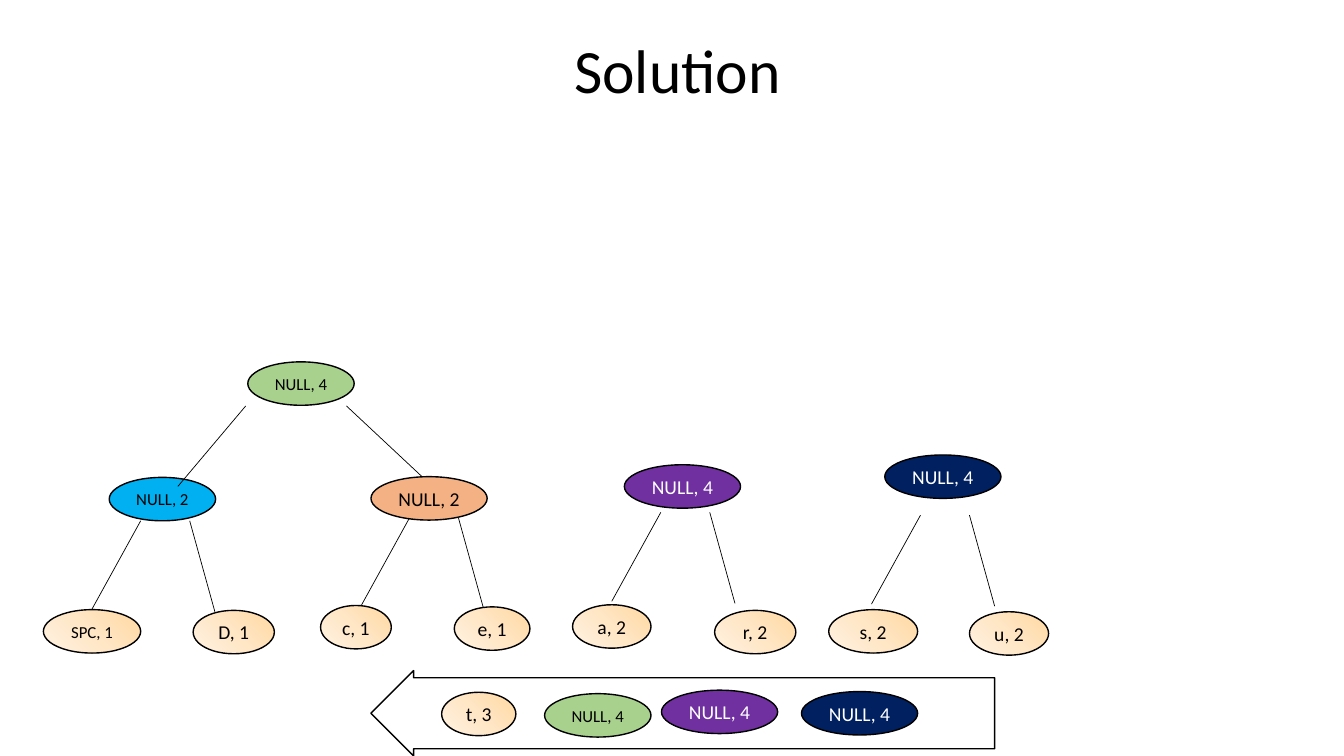
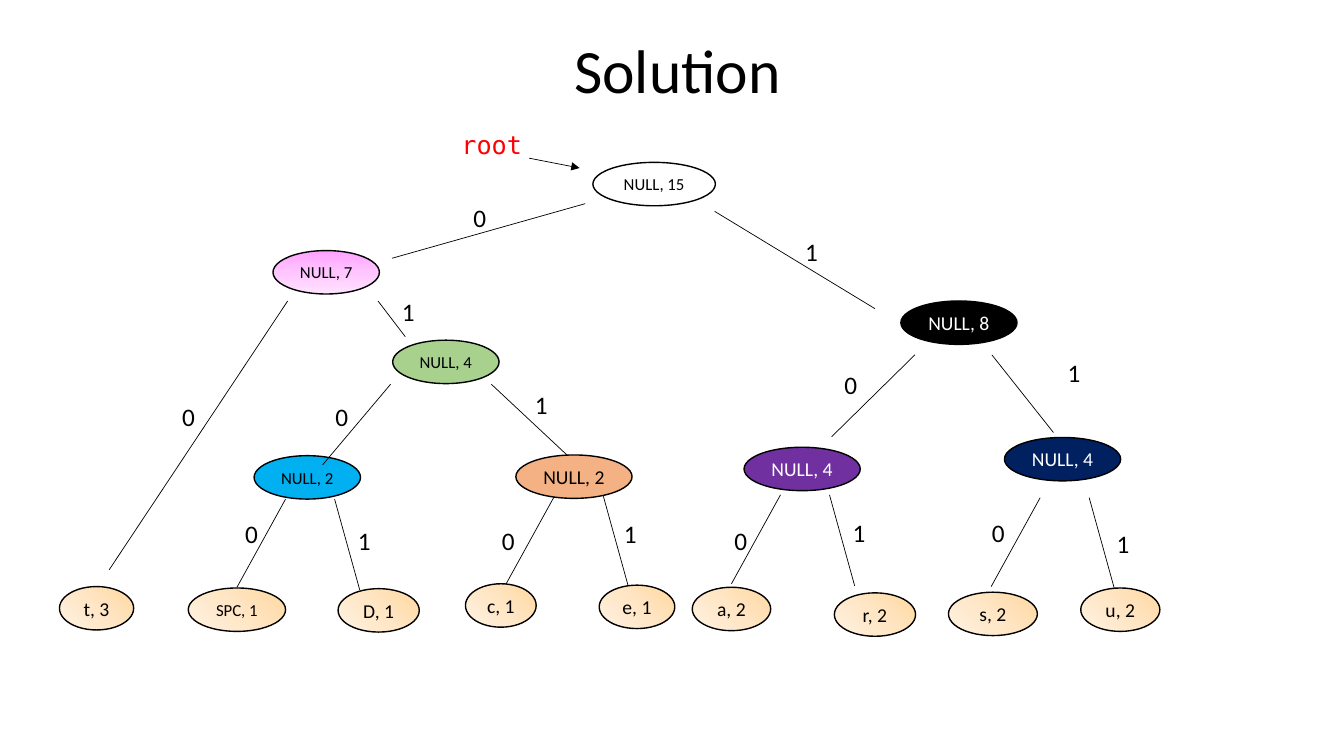
from collections import namedtuple
from copy import deepcopy

from lxml.etree import SubElement
from pptx import Presentation
from pptx.dml.color import RGBColor
from pptx.enum.shapes import MSO_CONNECTOR, MSO_SHAPE
from pptx.enum.text import MSO_ANCHOR, PP_ALIGN
from pptx.oxml.ns import qn
from pptx.util import Pt

FONT = "Calibri"
CODE_FONT = "DejaVu Sans Mono"
COLORS = {
    "black": "000000",
    "white": "FFFFFF",
    "red": "FF0000",
    "blue": "00B0F0",
    "orange": "F4B183",
    "green": "A9D18E",
    "purple": "7030A0",
    "navy": "002060",
}
# Colour stops and clockwise angle
GRADIENTS = {
    "peach": (("FFD8A0", "FFE6C5", "FFF2E3"), 135),
    "pink": (("FFA0FF", "FFC5FF", "FFE3FF"), 90),
}
NODE_HEIGHT = 31

Node = namedtuple("Node", "label width fill size text_color", defaults=("peach", 14, "black"))
NODES = {
    "SPC": Node("SPC, 1", 69.5, size=12),
    "D": Node("D, 1", 58),
    "c": Node("c, 1", 50.5),
    "e": Node("e, 1", 54),
    "a": Node("a, 2", 56),
    "r": Node("r, 2", 58),
    "s": Node("s, 2", 63.5),
    "u": Node("u, 2", 56.5),
    "t": Node("t, 3", 53),
    "blue": Node("NULL, 2", 76, "blue", 12),
    "orange": Node("NULL, 2", 83, "orange"),
    "green": Node("NULL, 4", 76, "green", 12),
    "purple": Node("NULL, 4", 83, "purple", text_color="white"),
    "navy": Node("NULL, 4", 83, "navy", text_color="white"),
    "pink": Node("NULL, 7", 76, "pink", 12),
    "black": Node("NULL, 8", 83, "black", text_color="white"),
    "root": Node("NULL, 15", 87.5, "white", 12),
}

# Subtrees: forks are the tops of the two lines that lead to a pair of leaves
Subtree = namedtuple("Subtree", "nodes forks edges")
LEFT_SUBTREE = Subtree(
    nodes=[("SPC", 31, 435.5), ("D", 138, 436), ("c", 229, 432.5), ("e", 324.5, 433.5),
           ("blue", 78, 341), ("orange", 265, 340.5), ("green", 177, 258.5)],
    forks=[(100.5, 372), (292.5, 370)],
    edges=[(175.5, 290, 127, 347.5), (247.5, 290, 301.5, 340.5)],
)
RIGHT_SUBTREES = Subtree(
    nodes=[("a", 409, 432), ("r", 510.5, 436), ("s", 592, 435.5),
           ("purple", 446, 332), ("navy", 632, 325)],
    forks=[(472, 366), (657.5, 368)],
    edges=[],
)

QUEUE = [("t", 315.5, 494.5), ("green", 389, 495.5), ("purple", 472.5, 493), ("navy", 572.5, 494)]

TOP_NODES = [("t", 42.5, 419), ("u", 772, 420), ("black", 643.5, 215),
             ("root", 423.5, 116), ("pink", 195, 179)]
TOP_EDGES = [
    (653.5, 253.5, 594, 312), (708.5, 253.5, 752.5, 309),
    (418, 145.5, 280, 184.5), (510.5, 151, 625, 220.5),
    (270, 215, 289.5, 240.5), (205.5, 215, 78, 407),
]
BIT_POSITIONS = {
    "0": [(232.5, 283), (123, 283), (168, 367), (351.5, 372),
          (517.5, 371.5), (596, 260), (701.5, 366), (331, 141)],
    "1": [(568, 165.5), (375, 274.5), (280, 208), (248.5, 371.5),
          (790.5, 373.5), (602, 366), (755.5, 251.5), (438.5, 367)],
}


def rgb(name):
    return RGBColor.from_string(COLORS[name])


def write(shape, text, size, color="black", font=FONT, align=PP_ALIGN.LEFT):
    shape.text_frame.text = text
    paragraph = shape.text_frame.paragraphs[0]
    paragraph.alignment = align
    run_font = paragraph.runs[0].font
    run_font.name = font
    run_font.size = Pt(size)
    run_font.color.rgb = rgb(color)
    return paragraph


def add_text(slide, text, left, top, width, height, size, **style):
    box = slide.shapes.add_textbox(Pt(left), Pt(top), Pt(width), Pt(height))
    box.text_frame.word_wrap = True
    return box, write(box, text, size, **style)


def add_title(slide, text):
    box, paragraph = add_text(slide, text, 70, 0, 828, 104.5, 44, align=PP_ALIGN.CENTER)
    box.text_frame.vertical_anchor = MSO_ANCHOR.MIDDLE
    paragraph.line_spacing = 0.9


def fill_gradient(shape, stops, clockwise_angle):
    shape.fill.gradient()
    shape.fill.gradient_angle = 360 - clockwise_angle
    stop_list = shape._element.spPr.find(qn("a:gradFill")).find(qn("a:gsLst"))
    stop_list.insert(1, deepcopy(stop_list[0]))
    for index, (stop, color) in enumerate(zip(shape.fill.gradient_stops, stops)):
        stop.position = index / (len(stops) - 1)
        stop.color.rgb = RGBColor.from_string(color)


def add_outlined_shape(slide, kind, left, top, width, height):
    shape = slide.shapes.add_shape(kind, Pt(left), Pt(top), Pt(width), Pt(height))
    shape.shadow.inherit = False
    shape.line.color.rgb = rgb("black")
    shape.line.width = Pt(1)
    return shape


def add_node(slide, key, left, top):
    node = NODES[key]
    shape = add_outlined_shape(slide, MSO_SHAPE.OVAL, left, top, node.width, NODE_HEIGHT)
    if node.fill in GRADIENTS:
        fill_gradient(shape, *GRADIENTS[node.fill])
    else:
        shape.fill.solid()
        shape.fill.fore_color.rgb = rgb(node.fill)
    shape.text_frame.word_wrap = False
    shape.text_frame.vertical_anchor = MSO_ANCHOR.MIDDLE
    write(shape, node.label, node.size, node.text_color, align=PP_ALIGN.CENTER)


def add_edge(slide, x1, y1, x2, y2, arrow=False):
    edge = slide.shapes.add_connector(MSO_CONNECTOR.STRAIGHT, Pt(x1), Pt(y1), Pt(x2), Pt(y2))
    edge.line.color.rgb = rgb("black")
    edge.line.width = Pt(0.5)
    properties = edge._element.spPr
    if arrow:
        SubElement(properties.find(qn("a:ln")), qn("a:tailEnd"), type="triangle")
    SubElement(properties, qn("a:effectLst"))


def add_fork(slide, x, y):
    add_edge(slide, x, y, x - 35, y + 63.5)
    add_edge(slide, x + 35, y, x + 53, y + 65)


def add_subtree(slide, subtree, dx=0, dy=0):
    for x, y in subtree.forks:
        add_fork(slide, x + dx, y + dy)
    for key, left, top in subtree.nodes:
        add_node(slide, key, left + dx, top + dy)
    for x1, y1, x2, y2 in subtree.edges:
        add_edge(slide, x1 + dx, y1 + dy, x2 + dx, y2 + dy)


def add_queue(slide):
    arrow = add_outlined_shape(slide, MSO_SHAPE.LEFT_ARROW, 265, 479, 445.5, 61)
    arrow.adjustments[0] = 0.83
    arrow.adjustments[1] = 0.5
    arrow.fill.background()
    for key, left, top in QUEUE:
        add_node(slide, key, left, top)


def add_solution_slide(presentation):
    slide = presentation.slides.add_slide(presentation.slide_layouts[6])
    add_title(slide, "Solution")
    return slide


def build_queue_slide(presentation):
    slide = add_solution_slide(presentation)
    add_subtree(slide, LEFT_SUBTREE)
    add_subtree(slide, RIGHT_SUBTREES)
    add_node(slide, "u", 692.5, 437)
    add_queue(slide)


def build_code_tree_slide(presentation):
    slide = add_solution_slide(presentation)
    add_subtree(slide, LEFT_SUBTREE, 103.5, -15.5)
    add_subtree(slide, RIGHT_SUBTREES, 85.5, -12.5)
    for edge in TOP_EDGES:
        add_edge(slide, *edge)
    for node in TOP_NODES:
        add_node(slide, *node)
    add_text(slide, "root", 322.5, 88.5, 166, 29, 18, color="red", font=CODE_FONT)
    add_edge(slide, 378, 113, 414, 120, arrow=True)
    for bit, positions in BIT_POSITIONS.items():
        for left, top in positions:
            add_text(slide, bit, left, top, 36, 29, 18)


def main():
    presentation = Presentation()
    presentation.slide_width = Pt(960)
    presentation.slide_height = Pt(540)
    build_queue_slide(presentation)
    build_code_tree_slide(presentation)
    presentation.save("out.pptx")


if __name__ == "__main__":
    main()
